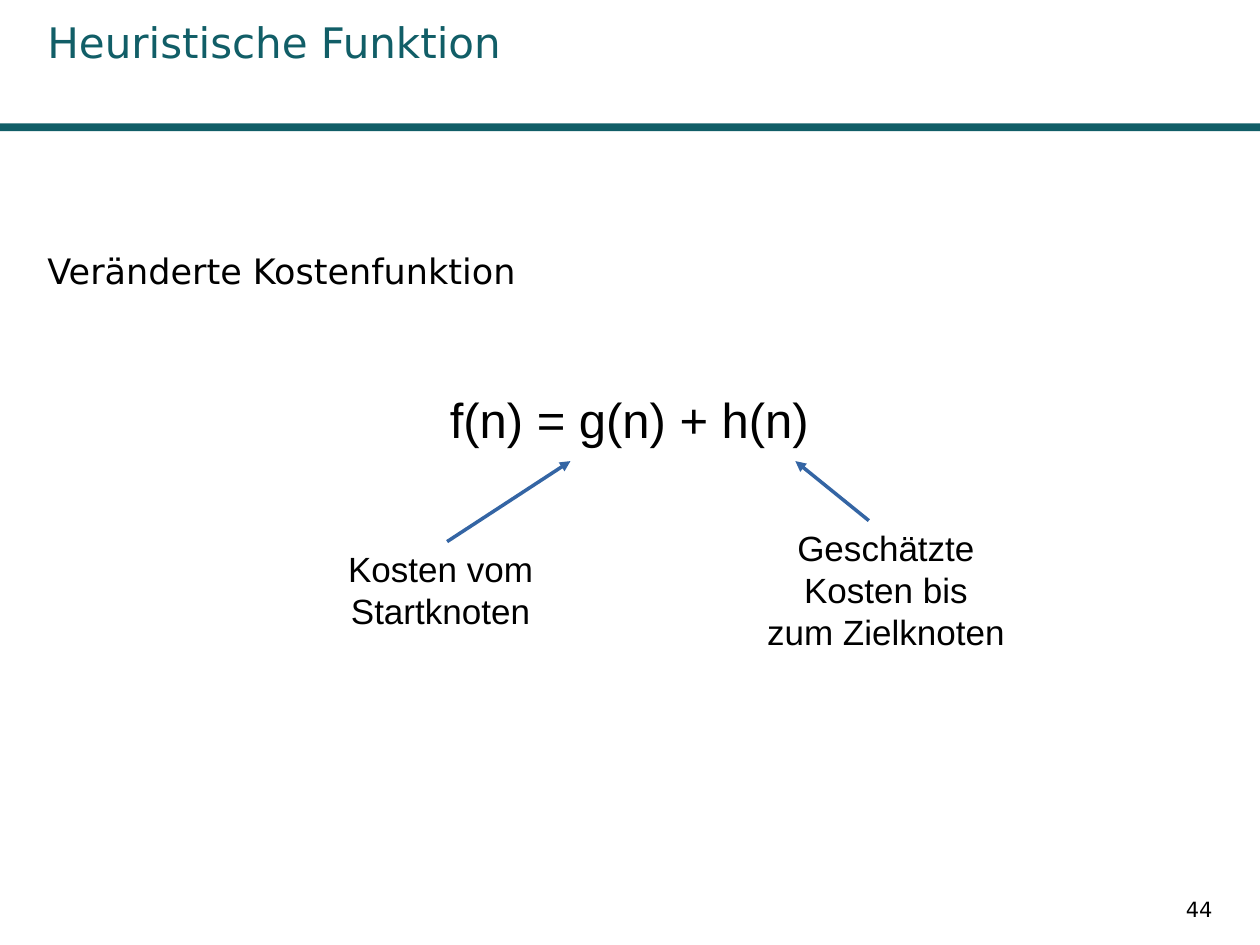
from lxml.etree import SubElement
from pptx import Presentation
from pptx.dml.color import RGBColor
from pptx.enum.shapes import MSO_CONNECTOR as Connector, MSO_SHAPE as Shape
from pptx.enum.text import PP_ALIGN as Align
from pptx.oxml.ns import qn
from pptx.util import Pt

TEAL = RGBColor(0x11, 0x5E, 0x67)
BLUE = RGBColor(0x34, 0x65, 0xA4)
BLACK = RGBColor(0, 0, 0)
HEADING_FONT = "DejaVu Sans"
BODY_FONT = "Arial"
WIDTH, HEIGHT = 720, 540


def add_text(page, box, text, size, font=BODY_FONT, color=BLACK, align=Align.LEFT, before=4):
    """Place one wrapped paragraph in a box of left, top, width, height."""
    frame = page.shapes.add_textbox(*map(Pt, box)).text_frame
    frame.word_wrap = True
    para = frame.paragraphs[0]
    para.alignment = align
    para.space_before = Pt(before)
    span = para.add_run()
    span.text = text
    span.font.size = Pt(size)
    span.font.name = font
    span.font.color.rgb = color


def add_arrow(page, start, end):
    """Draw a hairline arrow from start to end."""
    arrow = page.shapes.add_connector(Connector.STRAIGHT, *map(Pt, (*start, *end)))
    arrow.line.color.rgb = BLUE
    arrow.line.width = Pt(0)
    SubElement(arrow.line._get_or_add_ln(), qn("a:tailEnd"), type="triangle")
    SubElement(arrow._element.spPr, qn("a:effectLst"))


def add_header(page, box, title):
    """Place the title and the rule that closes the header."""
    left, top, width, height = box
    rule_height = 4.5
    rule = page.shapes.add_shape(
        Shape.RECTANGLE, Pt(left), Pt(top + height - rule_height), Pt(width), Pt(rule_height))
    rule.shadow.inherit = False
    rule.fill.solid()
    rule.fill.fore_color.rgb = TEAL
    rule.line.fill.background()
    add_text(page, (left + 20, top + 6, 430, 57), title, 24, HEADING_FONT, TEAL, before=0)


def add_cost_function(page, box):
    """Place the lead line, the formula and its two explained terms."""
    left, top, width, _ = box
    add_text(page, (left, top, width, 73), "Veränderte Kostenfunktion", 20, HEADING_FONT)
    add_text(page, (left + 230, top + 80, 221, 45), "f(n) = g(n) + h(n)", 28)
    arrow_end = top + 124.5
    terms = [
        ("Kosten vom Startknoten", 156.5, 170.5, 45, 235.5, 306),
        ("Geschätzte Kosten bis zum Zielknoten", 411, 158.5, 99, 476.5, 434.5),
    ]
    for text, label_left, label_top, height, start, end in terms:
        add_text(page, (left + label_left, top + label_top, 150.5, height), text, 20,
                 align=Align.CENTER)
        add_arrow(page, (left + start, top + label_top), (left + end, arrow_end))


def add_page_number(page, box, number):
    """Place the right-aligned page number."""
    add_text(page, box, number, 12, HEADING_FONT, align=Align.RIGHT, before=0)


def main():
    """Build the slide and save the deck."""
    deck = Presentation()
    deck.slide_width, deck.slide_height = Pt(WIDTH), Pt(HEIGHT)
    page = deck.slides.add_slide(deck.slide_layouts[6])
    add_header(page, (0, 0, WIDTH, 75), "Heuristische Funktion")
    add_cost_function(page, (20, 139, 680, 258))
    add_page_number(page, (587, 508.5, 113, 22), "44")
    deck.save("out.pptx")


if __name__ == "__main__":
    main()
